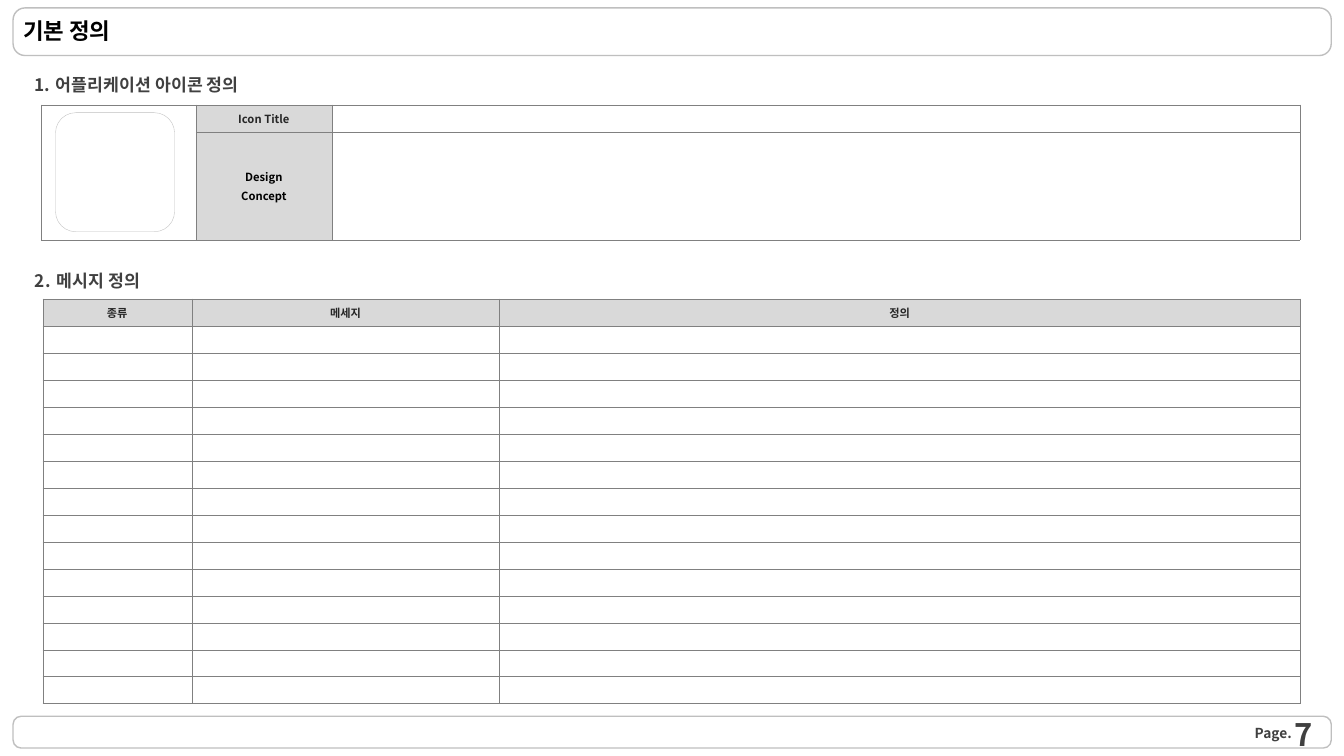
from lxml import etree
from pptx import Presentation
from pptx import util as u
from pptx.dml.color import RGBColor
from pptx.enum import shapes, text
from pptx.oxml.ns import qn

BLACK = RGBColor(0x00, 0x00, 0x00)
INK = RGBColor(0x26, 0x26, 0x26)
DARK = RGBColor(0x40, 0x40, 0x40)
BORDER = RGBColor(0x80, 0x80, 0x80)
OUTLINE = RGBColor(0xBF, 0xBF, 0xBF)
HEADER = RGBColor(0xD9, 0xD9, 0xD9)
WHITE = RGBColor(0xFF, 0xFF, 0xFF)
LEFT, CENTER, RIGHT = text.PP_ALIGN.LEFT, text.PP_ALIGN.CENTER, text.PP_ALIGN.RIGHT
MIDDLE, TOP = text.MSO_ANCHOR.MIDDLE, text.MSO_ANCHOR.TOP


def apply(target, values):
    for name, value in values.items():
        setattr(target, name, value)


class DefinitionSlide:
    font_name = "Noto Sans CJK KR"

    def __init__(self, presentation):
        self.slide = presentation.slides.add_slide(presentation.slide_layouts[5])

    def add_wording(self, paragraph, wording, size, color, align):
        paragraph.alignment = align
        run = paragraph.add_run()
        run.text = wording
        apply(run.font, {"name": self.font_name, "size": u.Pt(size), "bold": True})
        run.font.color.rgb = color
        east_asian = etree.SubElement(run._r.get_or_add_rPr(), qn("a:ea"))
        east_asian.set("typeface", self.font_name)

    def fill_frame(self, shape, wording, size, color, align=LEFT, anchor=MIDDLE,
                   side=0.25, edge=0):
        frame = shape.text_frame
        apply(frame, {
            "word_wrap": True, "auto_size": text.MSO_AUTO_SIZE.NONE,
            "vertical_anchor": anchor,
            "margin_left": u.Cm(side), "margin_right": u.Cm(side),
            "margin_top": u.Cm(edge), "margin_bottom": u.Cm(edge),
        })
        self.add_wording(frame.paragraphs[0], wording, size, color, align)
        return frame.paragraphs[0]

    def title(self, wording, left, top, width, height):
        shape = self.slide.shapes.title
        apply(shape, {"left": u.Cm(left), "top": u.Cm(top),
                      "width": u.Cm(width), "height": u.Cm(height)})
        self.fill_frame(shape, wording, 16, BLACK)

    def label(self, wording, left, top, width, height, size, **layout):
        box = self.slide.shapes.add_textbox(*map(u.Cm, (left, top, width, height)))
        return self.fill_frame(box, wording, size, DARK, **layout)

    def heading(self, number, wording, left, top):
        paragraph = self.label(f"{number}.\t{wording}", left, top, 10.3, 0.6, 12.3,
                               anchor=TOP, edge=0.05)
        properties = paragraph._p.get_or_add_pPr()
        properties.set("marL", str(u.Cm(0.75)))
        properties.set("indent", str(u.Cm(-0.55)))

    def rounded_box(self, left, top, width, height, radius=0.17, weight=1):
        box = self.slide.shapes.add_shape(
            shapes.MSO_SHAPE.ROUNDED_RECTANGLE, *map(u.Cm, (left, top, width, height)))
        box.adjustments[0] = radius
        box.shadow.inherit = False
        box.fill.background()
        box.line.color.rgb = OUTLINE
        box.line.width = u.Pt(weight)

    def table(self, left, top, widths, heights):
        frame = self.slide.shapes.add_table(
            len(heights), len(widths),
            *map(u.Cm, (left, top, sum(widths), sum(heights))))
        table = frame.table
        apply(table, {"first_row": False, "horz_banding": False})
        for column, width in zip(table.columns, widths):
            column.width = u.Cm(width)
        for row, height in zip(table.rows, heights):
            row.height = u.Cm(height)
        for cell in table.iter_cells():
            self.plain_cell(cell)
        return table

    def plain_cell(self, cell):
        apply(cell, {"vertical_anchor": MIDDLE,
                     "margin_top": u.Cm(0.08), "margin_bottom": u.Cm(0.08)})
        properties = cell._tc.get_or_add_tcPr()
        for side in ("a:lnL", "a:lnR", "a:lnT", "a:lnB"):
            line = etree.SubElement(properties, qn(side), w=str(u.Pt(0.25)))
            solid = etree.SubElement(line, qn("a:solidFill"))
            etree.SubElement(solid, qn("a:srgbClr"), val=str(BORDER))
        cell.fill.solid()
        cell.fill.fore_color.rgb = WHITE
        etree.SubElement(cell.text_frame.paragraphs[0]._p, qn("a:endParaRPr"), sz="800")

    def header_cell(self, cell, lines, color=INK):
        cell.fill.fore_color.rgb = HEADER
        frame = cell.text_frame
        for index, line in enumerate(lines):
            paragraph = frame.add_paragraph() if index else frame.paragraphs[0]
            paragraph.space_before = u.Pt(1.6)
            self.add_wording(paragraph, line, 8, color, CENTER)


def main():
    presentation = Presentation()
    apply(presentation, {"slide_width": u.Cm(33.87), "slide_height": u.Cm(19.05)})
    page = DefinitionSlide(presentation)

    for top, height in ((0.2, 1.2), (18.05, 0.8)):
        page.rounded_box(0.33, top, 33.22, height, radius=0.25)
    page.title("기본 정의", 0.33, 0.03, 33.22, 1.47)
    page.label("Page.", 31.62, 18.26, 1.6, 0.43, 9.8, side=0)
    page.label("7", 25.43, 18.29, 7.9, 0.4, 22.1, align=RIGHT)

    page.heading(1, "어플리케이션 아이콘 정의", 0.41, 1.83)
    icon_table = page.table(1.04, 2.64, (3.9, 3.42, 24.4), (0.68, 2.73))
    icon_table.cell(0, 0).merge(icon_table.cell(1, 0))
    page.header_cell(icon_table.cell(0, 1), ["Icon Title"])
    page.header_cell(icon_table.cell(1, 1), ["Design", "Concept"], BLACK)
    page.rounded_box(1.4, 2.84, 3, 3, weight=0.25)

    page.heading(2, "메시지 정의", 0.43, 6.75)
    message_table = page.table(1.08, 7.53, (3.75, 7.76, 20.17), [0.68] * 15)
    for column, wording in enumerate(("종류", "메세지", "정의")):
        page.header_cell(message_table.cell(0, column), [wording])

    presentation.save("out.pptx")


if __name__ == "__main__":
    main()
